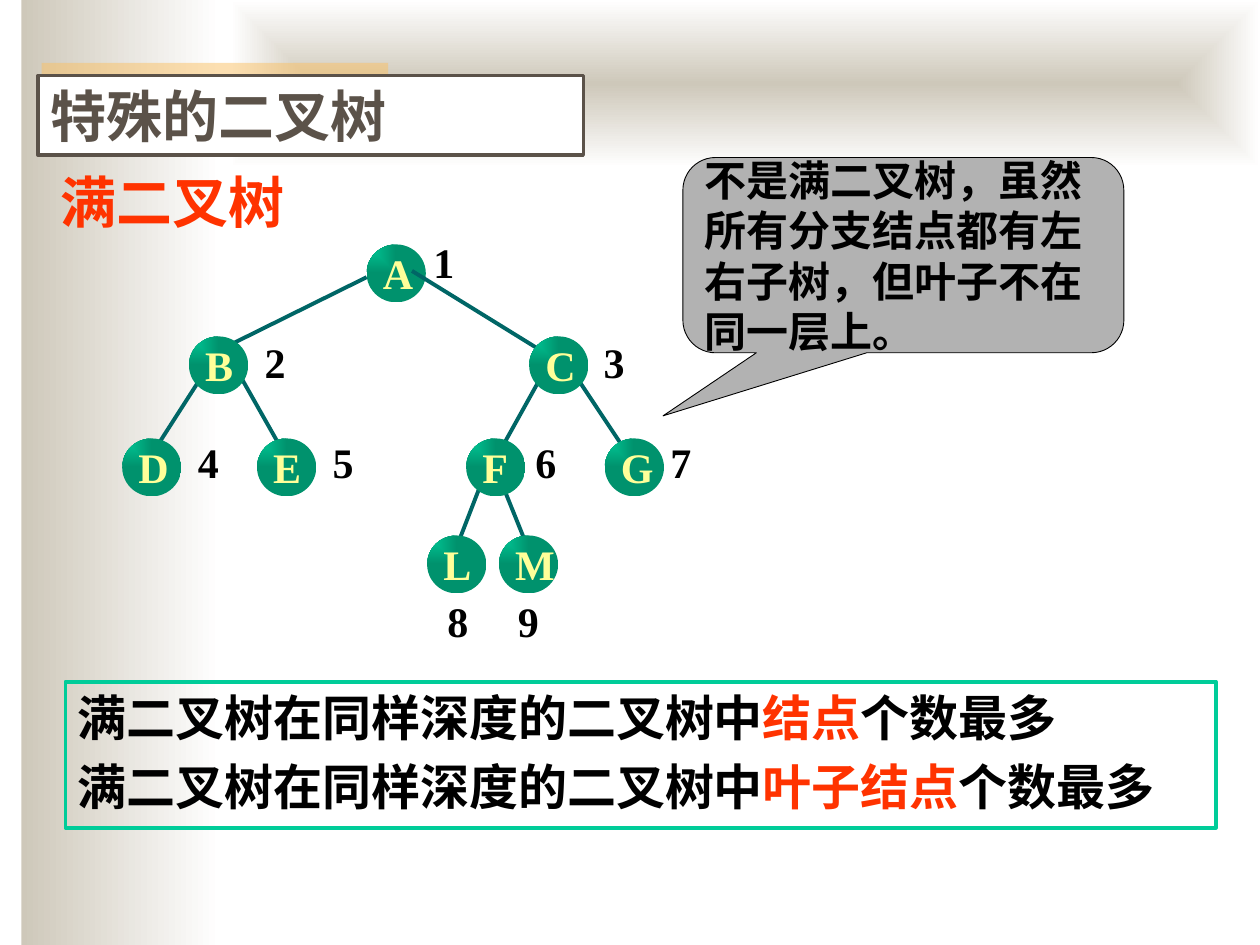
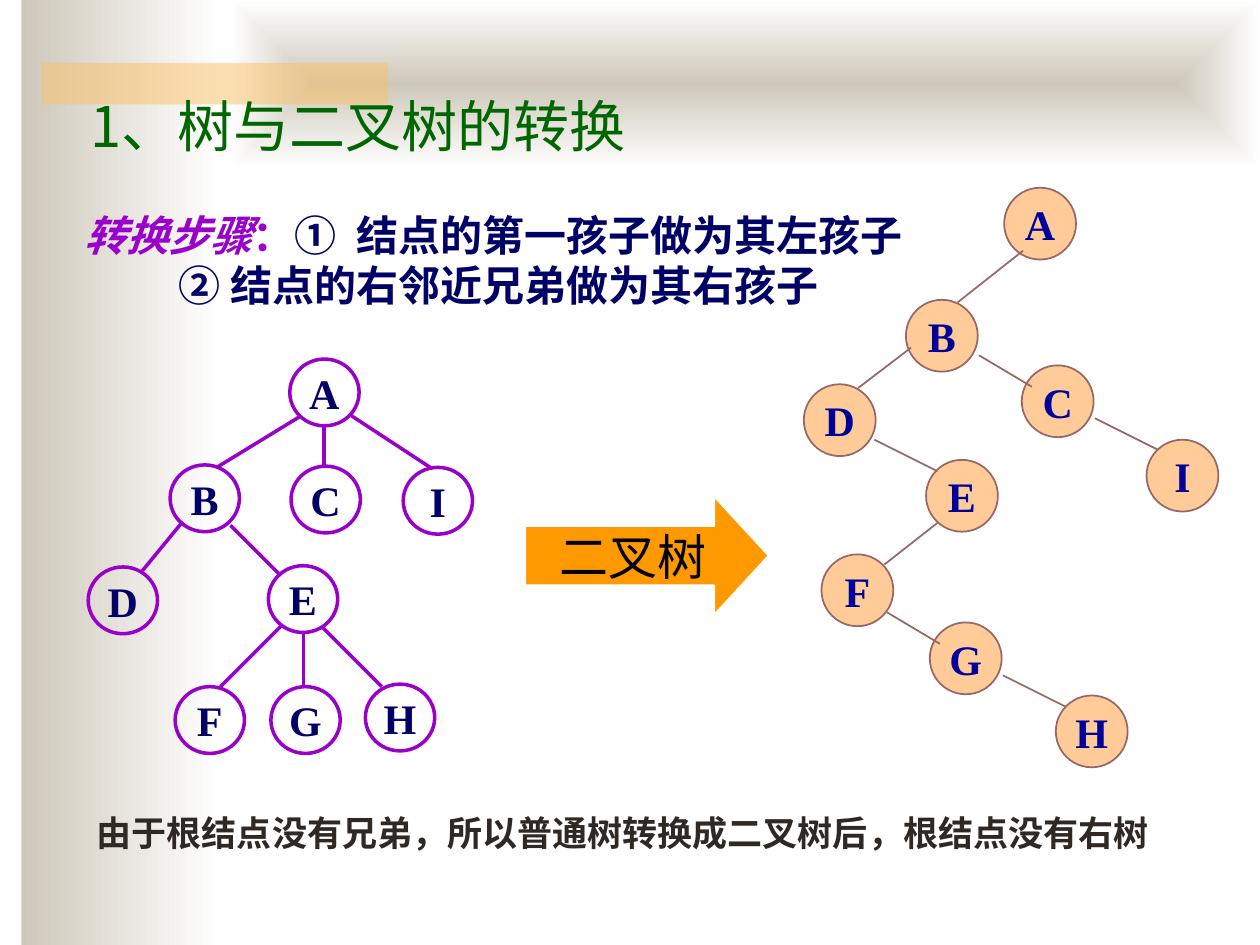
from lxml import etree
from pptx import Presentation
from pptx.dml.color import RGBColor
from pptx.enum.shapes import MSO_CONNECTOR, MSO_SHAPE
from pptx.enum.text import MSO_ANCHOR, MSO_AUTO_SIZE, PP_ALIGN
from pptx.oxml.ns import qn
from pptx.util import Pt

RECTANGLE = MSO_SHAPE.RECTANGLE
ELLIPSE = MSO_SHAPE.OVAL
CALLOUT = MSO_SHAPE.ROUNDED_RECTANGULAR_CALLOUT
ARROW = MSO_SHAPE.RIGHT_ARROW
STRAIGHT = MSO_CONNECTOR.STRAIGHT
TOP, MIDDLE = MSO_ANCHOR.TOP, MSO_ANCHOR.MIDDLE
LEFT, CENTER = PP_ALIGN.LEFT, PP_ALIGN.CENTER
NO_AUTOSIZE = MSO_AUTO_SIZE.NONE

PX = 9144
SERIF = "Times New Roman"
CJK = "Noto Sans CJK SC"

WHITE = RGBColor(0xFF, 0xFF, 0xFF)
BLACK = RGBColor(0, 0, 0)
SAND = RGBColor(0xCE, 0xC8, 0xBA)
GOLD = RGBColor(0xFA, 0xC1, 0x64)
BROWN = RGBColor(0x5B, 0x52, 0x49)
DARK_BROWN = RGBColor(0x2E, 0x29, 0x24)
RED = RGBColor(0xFF, 0x33, 0x00)
GRAY = RGBColor(0xB2, 0xB2, 0xB2)
MINT = RGBColor(0x00, 0xCC, 0x99)
DEEP_MINT = RGBColor(0x00, 0x92, 0x6D)
TEAL = RGBColor(0x00, 0x66, 0x66)
PALE_YELLOW = RGBColor(0xFF, 0xFF, 0x99)
PURPLE = RGBColor(0x99, 0x00, 0xCC)
NAVY = RGBColor(0x00, 0x00, 0x66)
BLUE = RGBColor(0x00, 0x00, 0x99)
PEACH = RGBColor(0xFF, 0xCC, 0x99)
ROSE = RGBColor(0x99, 0x66, 0x66)
ORANGE = RGBColor(0xFF, 0x99, 0x00)
GREEN = RGBColor(0x00, 0x66, 0x00)

BOX_INSETS = (10, 5, 10, 5)
NO_INSETS = (0, 0, 0, 0)


class Deck:
    def __init__(self):
        self.presentation = Presentation()
        self.presentation.slide_width = 1000 * PX
        self.presentation.slide_height = 750 * PX
        self.slide = None

    def new_slide(self, title, box, color, font=SERIF, bold=True,
                  insets=BOX_INSETS, leading=1.2):
        layout = self.presentation.slide_layouts[5]
        self.slide = self.presentation.slides.add_slide(layout)
        self.gradient(self.shape(RECTANGLE, (17, 0, 158, 750)), SAND, WHITE)
        self.gradient(self.shape(RECTANGLE, (183, 0, 817, 133)), SAND, WHITE,
                      "shape", (50, 50, 50, 50))
        band = self.shape(RECTANGLE, (33, 50, 275, 33), GOLD)
        gold = band.element.spPr.find(".//" + qn("a:srgbClr"))
        etree.SubElement(gold, qn("a:alpha"), val="50000")
        shape = self.slide.shapes.title
        shape.left, shape.top, shape.width, shape.height = (v * PX for v in box)
        shape.element.getparent().append(shape.element)
        self.set_text(shape, [title], 32, color, font=font, bold=bold,
                      insets=insets, leading=leading)
        return shape

    def paint(self, shape, fill=None, line=None, weight=1):
        if fill is None:
            shape.fill.background()
        else:
            shape.fill.solid()
            shape.fill.fore_color.rgb = fill
        if line is None:
            shape.line.fill.background()
        else:
            shape.line.color.rgb = line
            shape.line.width = Pt(weight)

    def shape(self, kind, box, fill=None, line=None, weight=1, adjustments=()):
        shape = self.slide.shapes.add_shape(kind, *(v * PX for v in box))
        shape.shadow.inherit = False
        self.paint(shape, fill, line, weight)
        for index, value in enumerate(adjustments):
            shape.adjustments[index] = value
        return shape

    def gradient(self, shape, start, end, route=None, focus=()):
        shape.fill.gradient()
        shape.fill.gradient_angle = 0
        for stop, color, position in zip(shape.fill.gradient_stops, (start, end), (0, 1)):
            stop.color.rgb = color
            stop.position = position
        if route:
            gradient = shape.element.spPr.find(qn("a:gradFill"))
            gradient.remove(gradient.find(qn("a:lin")))
            sides = {side: str(value * 1000) for side, value in zip("ltrb", focus)}
            target = etree.SubElement(gradient, qn("a:path"), {"path": route})
            etree.SubElement(target, qn("a:fillToRect"), sides)

    def set_text(self, shape, paragraphs, size, color, font=SERIF, bold=True, align=LEFT,
                 anchor=TOP, insets=BOX_INSETS, leading=None, before=0, wrap=True):
        frame = shape.text_frame
        frame.auto_size = NO_AUTOSIZE
        frame.word_wrap = wrap
        frame.vertical_anchor = anchor
        (frame.margin_left, frame.margin_top,
         frame.margin_right, frame.margin_bottom) = (v * PX for v in insets)
        for index, content in enumerate(paragraphs):
            paragraph = frame.add_paragraph() if index else frame.paragraphs[0]
            paragraph.alignment = align
            paragraph.space_before = Pt(before if index else 0)
            if leading:
                paragraph.line_spacing = Pt(size * leading) if leading > 1 else leading
            runs = [(content, color)] if isinstance(content, str) else content
            for text, run_color in runs:
                run = paragraph.add_run()
                run.text = text
                if run_color != color:
                    run.font.color.rgb = run_color
            paragraph.font.size = Pt(size)
            paragraph.font.bold = bold
            paragraph.font.name = font
            paragraph.font.color.rgb = color
            defaults = paragraph._p.pPr.find(qn("a:defRPr"))
            etree.SubElement(defaults, qn("a:ea"), typeface=CJK)
        return frame

    def text(self, box, paragraphs, size, color, **style):
        shape = self.slide.shapes.add_textbox(*(v * PX for v in box))
        return self.set_text(shape, paragraphs, size, color, **style)

    def edges(self, lines, color, weight):
        for line in lines:
            edge = self.slide.shapes.add_connector(STRAIGHT, *(v * PX for v in line))
            edge.line.color.rgb = color
            edge.line.width = Pt(weight)
            etree.SubElement(edge.element.spPr, qn("a:effectLst"))

    def shaded_nodes(self, places):
        for letter, left, top in places:
            node = self.shape(ELLIPSE, (left, top, 47, 46))
            self.gradient(node, MINT, DEEP_MINT, "rect", (0, 0, 100, 100))
            self.set_text(node, [letter], 24, PALE_YELLOW, insets=(6, 0, 0, 0), leading=0.9)

    def outlined_nodes(self, places, size, color, line, weight, fill=None):
        for letter, left, top in places:
            node = self.shape(ELLIPSE, (left, top, *size), fill, line, weight)
            self.set_text(node, [letter], 24, color, align=CENTER, anchor=MIDDLE, wrap=False)


def full_binary_tree(deck):
    title = deck.new_slide("特殊的二叉树", (30, 60, 433, 63), BROWN)
    deck.paint(title, WHITE, BROWN, 2)
    deck.text((48, 119, 433, 74), ["满二叉树"], 32, RED, insets=(0, 5, 0, 5), leading=1.4)
    callout = deck.shape(CALLOUT, (542, 125, 350, 155), GRAY, BLACK, 0.5,
                         (-0.545, 0.823, 0.167))
    deck.set_text(callout, ["不是满二叉树，虽然所有分支结点都有左右子树，但叶子不在同一层上。"],
                  24, BLACK, anchor=MIDDLE, leading=1.2)

    summary = deck.shape(RECTANGLE, (52, 541, 913, 116), None, MINT, 2.25)
    opening, ending = "满二叉树在同样深度的二叉树中", "个数最多"
    deck.set_text(summary, [[(opening, BLACK), (subject, RED), (ending, BLACK)]
                            for subject in ("结点", "叶子结点")],
                  28, BLACK, leading=1.2, before=5.6)

    deck.shaded_nodes([("A", 291, 194)])
    deck.edges([(291, 220, 182, 274), (327, 215, 429, 278), (160, 299, 126, 352),
                (191, 299, 221, 352), (429, 300, 399, 354), (458, 300, 492, 351),
                (381, 386, 364, 430), (398, 383, 417, 430)], TEAL, 2.25)
    deck.shaded_nodes([("B", 150, 267), ("C", 420, 267), ("D", 97, 348), ("E", 204, 348),
                       ("F", 370, 348), ("G", 480, 348), ("L", 339, 425), ("M", 396, 425)])
    number_places = [(344, 186), (210, 265), (479, 265), (157, 344), (264, 344),
                     (425, 344), (532, 344), (355, 471), (411, 471)]
    for number, (left, top) in enumerate(number_places, 1):
        deck.text((left, top, 27, 39), [str(number)], 24, BLACK, insets=(0, 2, 0, 0))


def tree_conversion(deck):
    deck.new_slide("1、树与二叉树的转换", (72, 68, 508, 54), GREEN, CJK, False,
                   NO_INSETS, 1.3)
    steps = deck.text((67, 166, 725, 80),
                      [[("转换步骤", PURPLE), ("：", PURPLE), ("① ", NAVY),
                        ("结点的第一孩子做为其左孩子", NAVY)],
                       "② 结点的右邻近兄弟做为其右孩子"],
                      24, NAVY, font=CJK, insets=NO_INSETS, leading=1.2)
    heading, _, marker, _ = steps.paragraphs[0].runs
    heading.font.italic = True
    marker._r.get_or_add_rPr().set("spc", "300")
    steps.paragraphs[1]._p.pPr.set("marL", str(75 * PX))

    deck.outlined_nodes([("A", 230, 285), ("B", 135, 369), ("C", 231, 370), ("I", 320, 371),
                         ("D", 70, 450), ("E", 213, 449), ("F", 139, 545), ("G", 215, 545),
                         ("H", 290, 543)], (55, 53), NAVY, PURPLE, 2)
    deck.edges([(239, 330, 172, 371), (279, 330, 343, 372), (257, 338, 257, 370),
                (145, 414, 113, 453), (183, 417, 223, 457), (223, 497, 175, 545),
                (255, 497, 303, 545), (241, 501, 241, 545)], PURPLE, 2)

    deck.outlined_nodes([("A", 797, 149), ("B", 719, 238), ("C", 811, 290), ("I", 910, 349),
                         ("D", 638, 305), ("E", 735, 365), ("F", 652, 440), ("G", 738, 494),
                         ("H", 838, 552)], (57, 57), BLUE, ROSE, 1, PEACH)
    deck.edges([(812, 199, 760, 240), (777, 282, 819, 307), (869, 332, 919, 357),
                (723, 276, 681, 308), (694, 349, 744, 374), (744, 415, 702, 448),
                (704, 486, 746, 511), (796, 536, 846, 561)], ROSE, 1)

    arrow = deck.shape(ARROW, (417, 394, 193, 94), ORANGE, WHITE, 1, (0.5, 0.459))
    deck.set_text(arrow, ["二叉树"], 28, BLACK, font=CJK, bold=False, align=CENTER,
                  anchor=MIDDLE, insets=NO_INSETS, leading=1.2)
    deck.text((67, 631, 867, 45), ["由于根结点没有兄弟，所以普通树转换成二叉树后，根结点没有右树"],
              20, DARK_BROWN, font=CJK, leading=1.5, wrap=False)


def main():
    deck = Deck()
    full_binary_tree(deck)
    tree_conversion(deck)
    deck.presentation.save("out.pptx")


if __name__ == "__main__":
    main()
